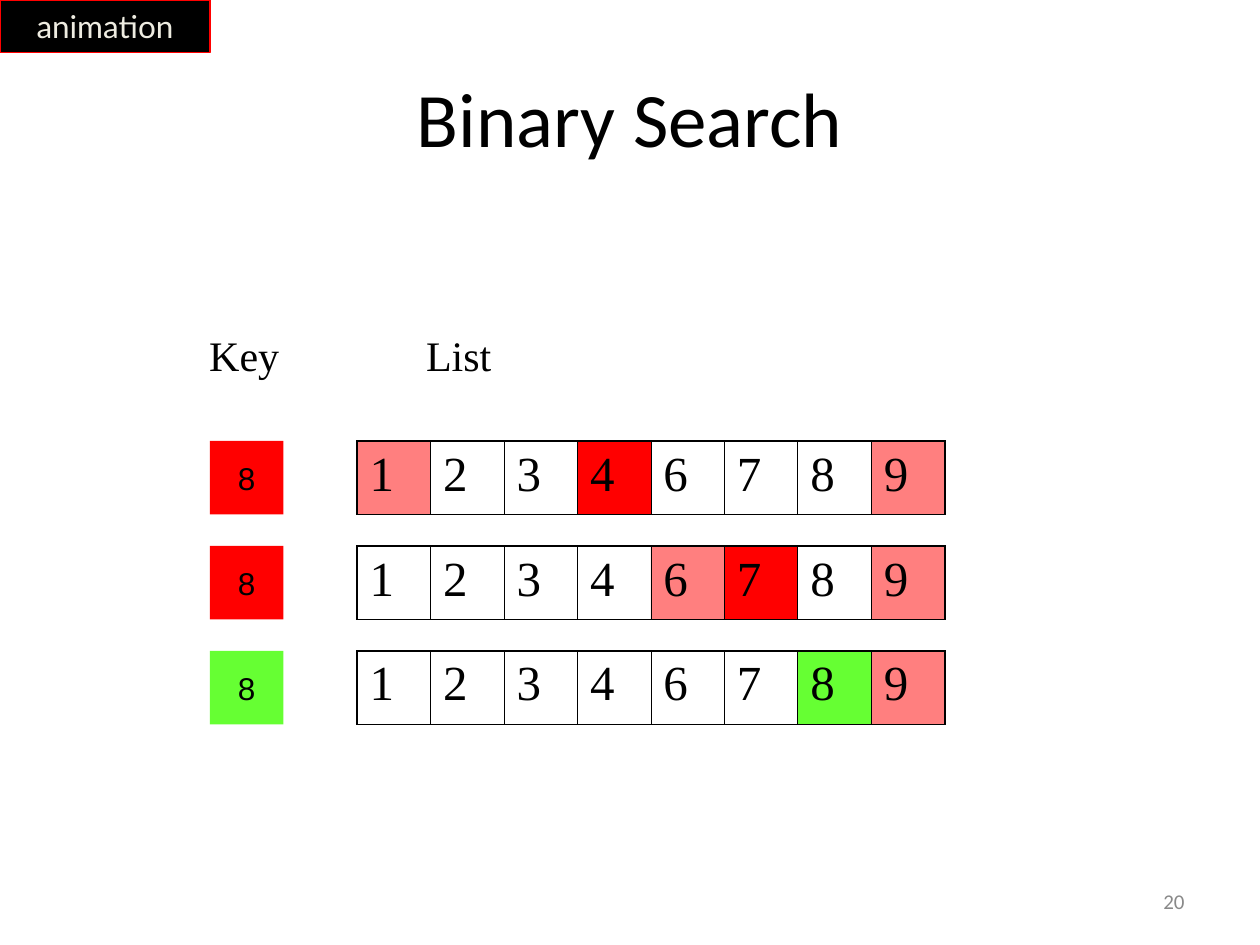
from dataclasses import dataclass, field

from lxml.etree import SubElement
from pptx import Presentation
from pptx.dml.color import RGBColor
from pptx.enum.shapes import MSO_SHAPE as Shape
from pptx.enum.text import MSO_ANCHOR as Anchor, PP_ALIGN as Align
from pptx.oxml import parse_xml
from pptx.oxml.ns import nsdecls, qn
from pptx.util import Inches, Pt

BLACK = RGBColor(0x00, 0x00, 0x00)
RED = RGBColor(0xFF, 0x00, 0x00)
GREEN = RGBColor(0x66, 0xFF, 0x33)
CREAM = RGBColor(0xEE, 0xEC, 0xE1)
GRAY = RGBColor(0x89, 0x89, 0x89)

SERIF = "Times New Roman"
NUMBERS = (1, 2, 3, 4, 6, 7, 8, 9)
KEY = 8
THIN, THICK = 0.45, 1.08  # table border widths in points

# The slide is a grid of 120 columns by 90 rows.
COLUMNS, ROWS = 120, 90
CELL = 7
KEY_COLUMN, LIST_COLUMN = 20, 34
FIRST_STEP_ROW, STEP_PITCH = 42, 10


@dataclass(frozen=True)
class Area:
    column: float
    row: float
    width: float
    height: float

    def emu(self) -> list[int]:
        return [round(value * Inches(10) / COLUMNS)
                for value in (self.column, self.row, self.width, self.height)]


@dataclass(frozen=True)
class Style:
    font: str
    size: float
    color: RGBColor = BLACK
    align: Align = Align.LEFT
    space_before: float = 0


@dataclass(frozen=True)
class Label:
    text: str
    area: Area
    style: Style
    anchor: Anchor = Anchor.TOP


@dataclass(frozen=True)
class Step:
    """One comparison: the ends still searched, and the middle item."""
    ends: tuple[int, ...]
    middle: int
    color: RGBColor = field(default=RED)


TITLE = Style("Calibri", 44, align=Align.CENTER)
PAGE_NUMBER = Style("Calibri", 12, GRAY, Align.RIGHT)
HEADING = Style(SERIF, 24, space_before=15)
LIST_ITEM = Style(SERIF, 28, space_before=7)
KEY_ITEM = Style("Arial", 18, align=Align.CENTER)
TAG = Style("Lato", 18, CREAM, Align.CENTER)

LABELS = (
    Label("Binary Search", Area(6, 3.6, 108, 15), TITLE, Anchor.MIDDLE),
    Label("20", Area(86, 83.4, 28, 4.8), PAGE_NUMBER, Anchor.MIDDLE),
    Label("Key", Area(18.75, 30.8, 14.6, 6), HEADING),
    Label("List", Area(39.4, 30.8, 29.3, 6), HEADING),
)
STEPS = (
    Step(ends=(1, 9), middle=4),
    Step(ends=(6, 9), middle=7),
    Step(ends=(9,), middle=8, color=GREEN),
)


def write(frame, text: str, style: Style) -> None:
    frame.text = text
    para = frame.paragraphs[0]
    para.alignment = style.align
    para.space_before = Pt(style.space_before)
    font = para.runs[0].font
    font.name, font.size = style.font, Pt(style.size)
    font.color.rgb = style.color


def add_label(page, label: Label) -> None:
    frame = page.shapes.add_textbox(*label.area.emu()).text_frame
    frame.word_wrap = True
    frame.vertical_anchor = label.anchor
    write(frame, label.text, label.style)


def add_box(page, area: Area, text: str, style: Style, fill: RGBColor):
    box = page.shapes.add_shape(Shape.RECTANGLE, *area.emu())
    box.shadow.inherit = False
    box.fill.solid()
    box.fill.fore_color.rgb = fill
    box.line.fill.background()
    box.text_frame.word_wrap = False
    box.text_frame.vertical_anchor = Anchor.MIDDLE
    write(box.text_frame, text, style)
    return box


def fill_cell(cell, color: RGBColor, opacity: int = 100) -> None:
    cell.fill.solid()
    cell.fill.fore_color.rgb = color
    if opacity < 100:
        for value in cell.fill._xPr.iter(qn("a:srgbClr")):
            SubElement(value, qn("a:alpha"), val=str(opacity * 1000))


def set_borders(cell, left: float, right: float) -> None:
    """Draw the four borders; they must precede the fill in the XML."""
    properties = cell._tc.get_or_add_tcPr()
    widths = {"lnL": left, "lnR": right, "lnT": THICK, "lnB": THICK}
    for place, (side, width) in enumerate(widths.items()):
        properties.insert(place, parse_xml(
            f'<a:{side} {nsdecls("a")} w="{Pt(width)}"><a:solidFill>'
            f'<a:srgbClr val="{BLACK}"/></a:solidFill></a:{side}>'))


def add_list(page, row: float, step: Step) -> None:
    count = len(NUMBERS)
    area = Area(LIST_COLUMN, row, CELL * count, CELL)
    table = page.shapes.add_table(1, count, *area.emu()).table
    table.first_row = table.horz_banding = False
    for index, number in enumerate(NUMBERS):
        cell = table.cell(0, index)
        write(cell.text_frame, str(number), LIST_ITEM)
        if number == step.middle:
            fill_cell(cell, step.color)
        elif number in step.ends:
            fill_cell(cell, RED, opacity=50)
        else:
            cell.fill.background()
        set_borders(cell,
                    left=THICK if index == 0 else THIN,
                    right=THICK if index == count - 1 else THIN)


def main() -> None:
    deck = Presentation()
    deck.slide_width, deck.slide_height = Inches(10), Inches(7.5)
    page = deck.slides.add_slide(deck.slide_layouts[6])

    for label in LABELS:
        add_label(page, label)
    for index, step in enumerate(STEPS):
        row = FIRST_STEP_ROW + index * STEP_PITCH
        add_list(page, row, step)
        add_box(page, Area(KEY_COLUMN, row, CELL, CELL), str(KEY),
                KEY_ITEM, step.color)

    tag = add_box(page, Area(0, 0, 20, 5), "animation", TAG, BLACK)
    tag.line.color.rgb = RED
    tag.line.width = Pt(1)

    deck.save("out.pptx")


if __name__ == "__main__":
    main()
